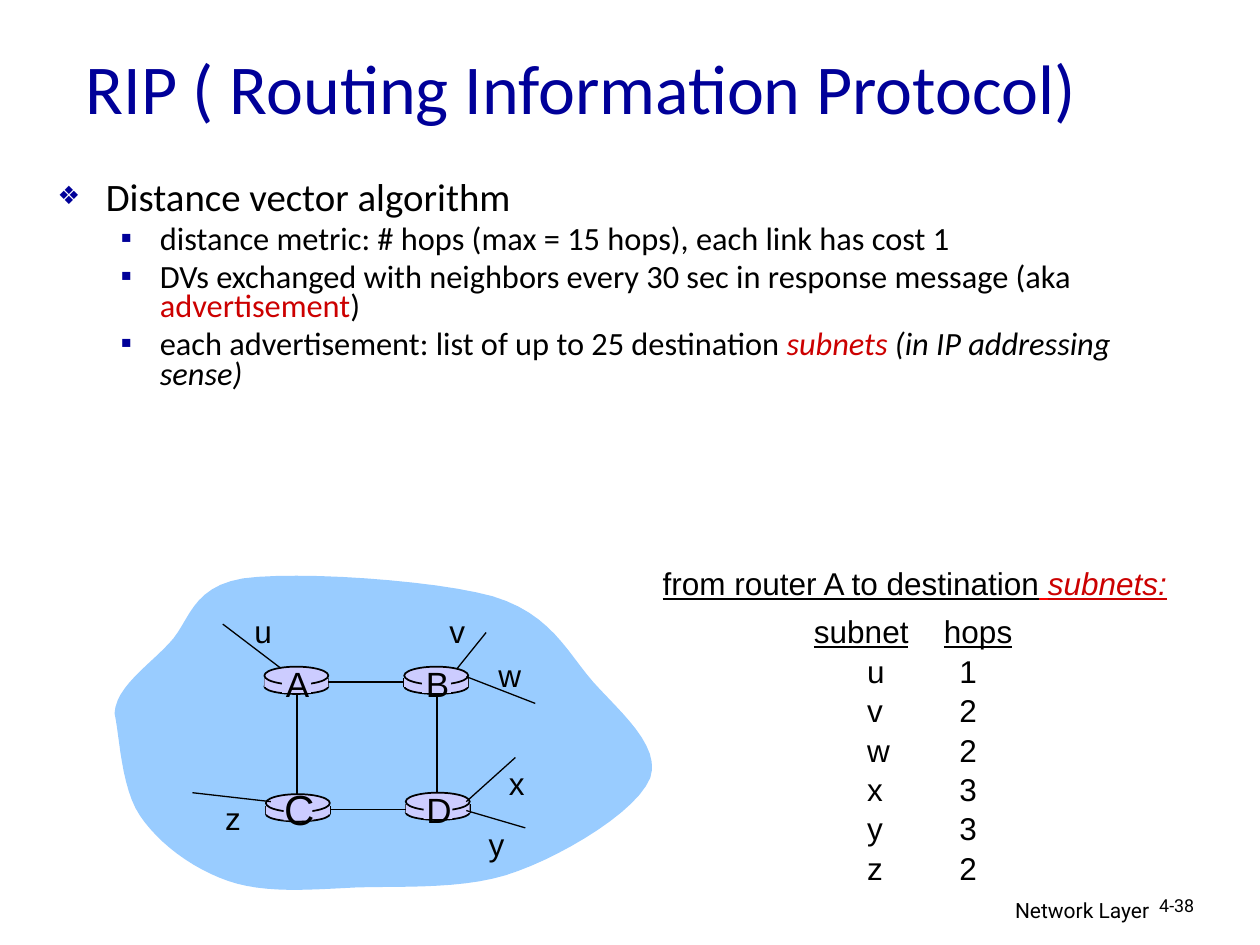
from dataclasses import dataclass

from lxml import etree
from pptx import Presentation
from pptx.dml.color import RGBColor
from pptx.enum.shapes import MSO_CONNECTOR, MSO_SHAPE
from pptx.enum.text import MSO_ANCHOR, MSO_AUTO_SIZE, PP_ALIGN
from pptx.oxml.ns import qn
from pptx.util import Cm, Pt

LEFT, CENTER, RIGHT = PP_ALIGN.LEFT, PP_ALIGN.CENTER, PP_ALIGN.RIGHT
OVAL, RECT = MSO_SHAPE.OVAL, MSO_SHAPE.RECTANGLE
STRAIGHT = MSO_CONNECTOR.STRAIGHT


@dataclass(frozen=True)
class Theme:
    navy: str = "000099"
    black: str = "000000"
    red: str = "CC0000"
    underline_red: str = "FF0000"
    cloud: str = "99CCFF"
    router: str = "CCCCFF"
    head_font: str = "Calibri"
    label_font: str = "Arial"
    footer_font: str = "Roboto"
    title: float = 40
    bullet: float = 22.2
    sub_bullet: float = 18.5
    label: float = 18
    router_label: float = 20
    big_router_label: float = 24
    footer: float = 12
    number: float = 10.2


T = Theme()

BULLETS = [
    (0, [("Distance vector algorithm", T.black, False)]),
    (1, [("distance metric: # hops (max = 15 hops), each link has cost 1", T.black, False)]),
    (1, [("DVs exchanged with neighbors every 30 sec in response message (aka ", T.black, False),
         ("advertisement", T.red, False), (")", T.black, False)]),
    (1, [("each advertisement: list of up to 25 destination ", T.black, False),
         ("subnets ", T.red, True), ("(in IP addressing sense)", T.black, True)]),
]
# char, size in percent, left margin, hanging indent, space before, type size
LEVELS = [("❖", 65, 0.97, 0.97, 6, T.bullet), ("▪", 100, 2.06, 0.79, 5, T.sub_bullet)]

# Bezier segments of the cloud: two control points and an end point each
CLOUD_START = (0, 2.87)
CLOUD = [
    ((0.03, 2.34), (0.66, 1.93), (1.09, 1.47)),
    ((1.52, 1.04), (1.52, 0.33), (2.59, 0.15)),
    ((3.68, 0), (6.43, 0.18), (7.62, 0.51)),
    ((8.79, 0.86), (9.12, 1.63), (9.65, 2.24)),
    ((10.19, 2.84), (11.02, 3.53), (10.8, 4.17)),
    ((10.54, 4.83), (9.12, 5.69), (8.13, 6.05)),
    ((7.16, 6.43), (5.84, 6.35), (4.88, 6.38)),
    ((3.89, 6.43), (3.02, 6.5), (2.29, 6.25)),
    ((1.55, 5.99), (0.89, 5.49), (0.51, 4.93)),
    ((0.13, 4.37), (0.1, 3.3), CLOUD_START),
]
ROUTERS = {"A": (3.02, 1.93), "B": (5.84, 1.93), "C": (3.05, 4.5), "D": (5.87, 4.47)}
ROUTER_W = 1.29
# subnet: line start, line end, label corner, hops from A
SUBNETS = {
    "u": ((3.35, 1.96), (2.18, 1.07), (2.57, 0.71), 1),
    "v": ((6.91, 1.96), (7.49, 1.24), (6.5, 0.71), 2),
    "w": ((7.09, 2.13), (8.48, 2.67), (7.49, 1.6), 2),
    "x": ((7.09, 4.65), (8.08, 3.76), (7.7, 3.76), 3),
    "y": ((7.09, 4.83), (8.28, 5.18), (7.29, 5.0), 3),
    "z": ((3.15, 4.65), (1.57, 4.47), (1.98, 4.47), 2),
}


def rgb(color):
    return RGBColor.from_string(color)


def add_run(p, text, font, size, color=T.black, italic=None, underline=None):
    r = p.add_run()
    r.text = text
    f = r.font
    f.name, f.size, f.italic, f.underline = font, Pt(size), italic, underline
    f.color.rgb = rgb(color)


def add_textbox(shapes, x, y, w, h, align=LEFT, wrap=False):
    tf = shapes.add_textbox(Cm(x), Cm(y), Cm(w), Cm(h)).text_frame
    tf.word_wrap = wrap
    tf.paragraphs[0].alignment = align
    return tf


def add_filled(shapes, kind, x, y, w, h, outlined=False):
    sp = shapes.add_shape(kind, Cm(x), Cm(y), Cm(w), Cm(h))
    style_fill(sp, T.router)
    if outlined:
        sp.line.color.rgb = rgb(T.black)
        sp.line.width = Pt(1)


def style_fill(sp, color):
    sp.shadow.inherit = False
    sp.fill.solid()
    sp.fill.fore_color.rgb = rgb(color)
    sp.line.fill.background()


def add_line(shapes, x1, y1, x2, y2, width=1):
    c = shapes.add_connector(STRAIGHT, Cm(x1), Cm(y1), Cm(x2), Cm(y2))
    c.line.color.rgb = rgb(T.black)
    c.line.width = Pt(width)
    etree.SubElement(c._element.spPr, qn("a:effectLst"))


def place(sp, x, y, w, h):
    sp.left, sp.top, sp.width, sp.height = Cm(x), Cm(y), Cm(w), Cm(h)


def set_bullet(p, char, percent, margin, hanging):
    pPr = p._p.get_or_add_pPr()
    pPr.set("marL", str(Cm(margin)))
    pPr.set("indent", str(-Cm(hanging)))
    color = etree.SubElement(pPr, qn("a:buClr"))
    etree.SubElement(color, qn("a:srgbClr"), val=T.navy)
    etree.SubElement(pPr, qn("a:buSzPct"), val=str(percent * 1000))
    etree.SubElement(pPr, qn("a:buFont"), typeface=T.label_font)
    etree.SubElement(pPr, qn("a:buChar"), char=char)


def set_tabs(p, *stops):
    tabs = etree.SubElement(p._p.get_or_add_pPr(), qn("a:tabLst"))
    for stop in stops:
        etree.SubElement(tabs, qn("a:tab"), pos=str(Cm(stop)), algn="l")


def fill_title(sp, x, y, w, h):
    place(sp, x, y, w, h)
    tf = sp.text_frame
    tf.vertical_anchor = MSO_ANCHOR.MIDDLE
    tf.auto_size = MSO_AUTO_SIZE.NONE
    p = tf.paragraphs[0]
    p.alignment = LEFT
    add_run(p, "RIP ( Routing Information Protocol)", T.head_font, T.title, T.navy)


def fill_body(sp, x, y, w, h):
    place(sp, x, y, w, h)
    tf = sp.text_frame
    tf.auto_size = MSO_AUTO_SIZE.NONE
    for i, (level, runs) in enumerate(BULLETS):
        p = tf.add_paragraph() if i else tf.paragraphs[0]
        char, percent, margin, hanging, before, size = LEVELS[level]
        p.level = level
        set_bullet(p, char, percent, margin, hanging)
        p.line_spacing = 0.75
        p.space_before = Pt(before if i else 0)
        for text, color, italic in runs:
            add_run(p, text, T.head_font, size, color, italic)


def add_cloud(shapes, x, y, steps=12):
    points, start = [], CLOUD_START
    for c1, c2, end in CLOUD:
        for t in (k / steps for k in range(1, steps + 1)):
            u = 1 - t
            points.append(tuple(
                Cm(o + u**3 * a + 3 * u * u * t * b + 3 * u * t * t * c + t**3 * d)
                for o, a, b, c, d in zip((x, y), start, c1, c2, end)))
        start = end
    fb = shapes.build_freeform(Cm(x + CLOUD_START[0]), Cm(y + CLOUD_START[1]))
    fb.add_line_segments(points, close=True)
    style_fill(fb.convert_to_shape(), T.cloud)


def add_router(shapes, x, y):
    add_filled(shapes, OVAL, x, y + 0.25, ROUTER_W, 0.3, outlined=True)
    for side in (x, x + ROUTER_W):
        add_line(shapes, side, y + 0.23, side, y + 0.41)
    add_filled(shapes, RECT, x, y + 0.23, ROUTER_W, 0.18)
    add_filled(shapes, OVAL, x, y, ROUTER_W, 0.36, outlined=True)


def add_router_label(shapes, name, x, y):
    size, rise = (T.big_router_label, 0.33) if name == "C" else (T.router_label, 0.2)
    add_filled(shapes, RECT, x + 0.36, y + 0.05, 0.58, 0.48)
    tf = add_textbox(shapes, x + 0.12, y - rise, 1.1, 1.12, CENTER)
    add_run(tf.paragraphs[0], name, T.label_font, size)


def add_network(s, x, y):
    shapes = s.shapes.add_group_shape().shapes
    add_cloud(shapes, x, y)
    at = {name: (x + dx, y + dy) for name, (dx, dy) in ROUTERS.items()}
    for rx, ry in at.values():
        add_router(shapes, rx, ry)
    for a, b in ("AB", "CD"):
        ly = at[a][1] + 0.31
        add_line(shapes, at[a][0] + ROUTER_W, ly, at[b][0], ly)
    for a, b in ("AC", "BD"):
        lx = at[a][0] + 0.66
        add_line(shapes, lx, at[a][1] + 0.58, lx, at[b][1])
    for name, (rx, ry) in at.items():
        add_router_label(shapes, name, rx, ry)
    for name, ((x1, y1), (x2, y2), (lx, ly), _) in SUBNETS.items():
        add_line(shapes, x + x1, y + y1, x + x2, y + y2, 0.75)
        tf = add_textbox(shapes, x + lx, y + ly, 0.9, 1.02)
        add_run(tf.paragraphs[0], name, T.label_font, T.label)


def add_hop_list(s, x, y):
    p = add_textbox(s.shapes, x, y, 10.74, 1.02).paragraphs[0]
    add_run(p, "from router A to destination", T.label_font, T.label, underline=True)
    add_run(p, " ", T.label_font, T.label, T.underline_red, underline=True)
    add_run(p, "subnets:", T.label_font, T.label, T.red, True, True)

    tf = add_textbox(s.shapes, x + 3.05, y + 0.97, 4.5, 5.6)
    p = tf.paragraphs[0]
    set_tabs(p, 2.62)
    add_run(p, "subnet", T.label_font, T.label, underline=True)
    add_run(p, "\t", T.label_font, T.label)
    add_run(p, "hops", T.label_font, T.label, underline=True)
    for name, (*_, hops) in SUBNETS.items():
        p = tf.add_paragraph()
        p._p.get_or_add_pPr().set("marL", str(Cm(1.07)))
        set_tabs(p, 2.97)
        p.space_before = Pt(0.9)
        add_run(p, f"{name}\t{hops}", T.label_font, T.label)


def add_footer(s, x, y):
    p = add_textbox(s.shapes, x, y, 8.05, 0.79, RIGHT, True).paragraphs[0]
    add_run(p, "Network Layer", T.footer_font, T.footer)
    p = add_textbox(s.shapes, x + 7.75, y, 1.88, 0.76, wrap=True).paragraphs[0]
    p.line_spacing = 0.9
    add_run(p, "4-38", T.footer_font, T.number)


def main():
    prs = Presentation()
    prs.slide_width, prs.slide_height = Cm(25.4), Cm(19.05)
    s = prs.slides.add_slide(prs.slide_layouts[1])
    add_footer(s, 15.37, 17.96)
    fill_title(s.shapes.title, 1.47, 0.43, 22.71, 2.62)
    fill_body(s.placeholders[1], 0.91, 3.58, 23.24, 4.7)
    add_network(s, 2.31, 11.51)
    add_hop_list(s, 13.11, 11.25)
    prs.save("out.pptx")


if __name__ == "__main__":
    main()
